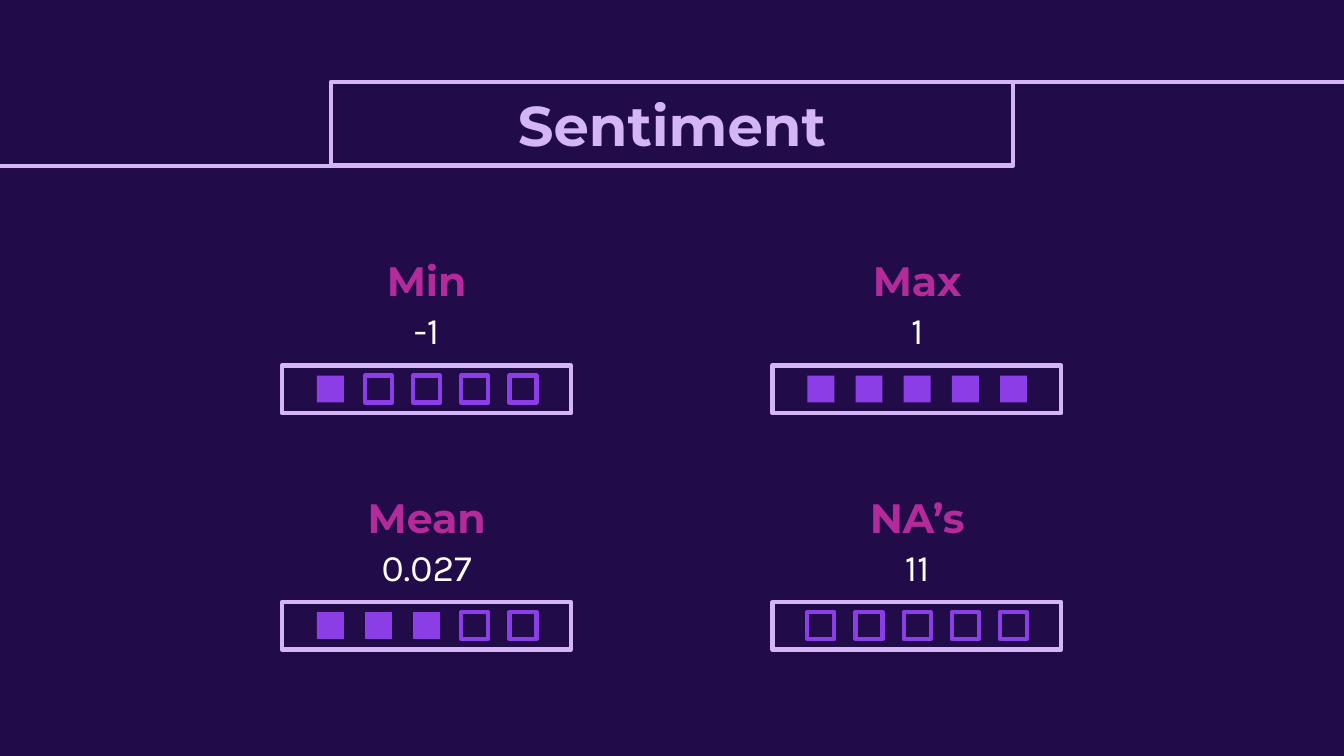
import pptx
import pptx.util
import pptx.dml.color
import pptx.enum.shapes
import pptx.enum.text
import pptx.oxml.ns
import lxml.etree

Cm = pptx.util.Cm
Pt = pptx.util.Pt
Shapes = pptx.enum.shapes.MSO_SHAPE
Anchor = pptx.enum.text.MSO_ANCHOR

TITLE = "Sentiment"
STATISTICS = [
    [("Min", "-1", 1), ("Max", "1", 5)],
    [("Mean", "0.027", 3), ("NA’s", "11", 0)],
]
COLORS = {
    "background": "220B49",
    "lilac": "D4B6F6",
    "magenta": "B32A9A",
    "violet": "8C3EE6",
    "white": "FFFFFF",
}

SLIDE_WIDTH, SLIDE_HEIGHT = 25.4, 14.29
TITLE_LEFT, TITLE_TOP, TITLE_WIDTH, TITLE_HEIGHT = 6.25, 1.55, 12.9, 1.58
LEFT, TOP, COLUMN_PITCH, ROW_PITCH = 5.03, 4.7, 9.27, 4.47
TEXT_WIDTH = 6.07
SQUARE_COUNT, SQUARE_SIZE, SQUARE_PITCH = 5, 0.51, 0.91


def color(name):
    return pptx.dml.color.RGBColor.from_string(COLORS[name])


def draw_outline(shape, name):
    shape.line.color.rgb = color(name)
    shape.line.width = Pt(2.25)


def add_box(slide, left, top, width, height, outline=None, fill=None):
    box = slide.shapes.add_shape(
        Shapes.RECTANGLE, Cm(left), Cm(top), Cm(width), Cm(height))
    box.shadow.inherit = False
    if fill:
        box.fill.solid()
        box.fill.fore_color.rgb = color(fill)
    else:
        box.fill.background()
    if outline:
        draw_outline(box, outline)
    else:
        box.line.fill.background()
    return box


def add_rule(slide, start, end, top):
    rule = slide.shapes.add_connector(
        pptx.enum.shapes.MSO_CONNECTOR.STRAIGHT, Cm(start), Cm(top), Cm(end), Cm(top))
    draw_outline(rule, "lilac")
    lxml.etree.SubElement(
        rule._element.spPr, pptx.oxml.ns.qn("a:effectLst"))


def write(box, text, font, size, name, bold=False, anchor=Anchor.MIDDLE):
    frame = box.text_frame
    frame.word_wrap = True
    frame.vertical_anchor = anchor
    frame.margin_left = frame.margin_right = Cm(0.25)
    frame.margin_top = frame.margin_bottom = Cm(0.25)
    para = frame.paragraphs[0]
    para.text = text
    para.alignment = pptx.enum.text.PP_ALIGN.CENTER
    para.font.name = font
    para.font.size = Pt(size)
    para.font.bold = bold
    para.font.color.rgb = color(name)


def add_statistic(slide, left, top, label, value, filled):
    heading = slide.shapes.add_textbox(Cm(left), Cm(top), Cm(TEXT_WIDTH), Cm(1.19))
    write(heading, label, "Montserrat", 22, "magenta", bold=True)
    number = slide.shapes.add_textbox(
        Cm(left), Cm(top + 0.86), Cm(TEXT_WIDTH), Cm(1.5))
    write(number, value, "Karla", 20, "white", anchor=Anchor.TOP)
    add_box(slide, left + 0.3, top + 2.21, 5.46, 0.9, outline="lilac")
    for index in range(SQUARE_COUNT):
        style = "fill" if index < filled else "outline"
        add_box(slide, left + 0.96 + index * SQUARE_PITCH, top + 2.4,
                SQUARE_SIZE, SQUARE_SIZE, **{style: "violet"})


def main():
    deck = pptx.Presentation()
    deck.slide_width, deck.slide_height = Cm(SLIDE_WIDTH), Cm(SLIDE_HEIGHT)
    page = deck.slides.add_slide(deck.slide_layouts[6])
    page.background.fill.solid()
    page.background.fill.fore_color.rgb = color("background")

    add_rule(page, TITLE_LEFT + TITLE_WIDTH, SLIDE_WIDTH, TITLE_TOP)
    add_rule(page, 0, TITLE_LEFT, TITLE_TOP + TITLE_HEIGHT)
    title = add_box(page, TITLE_LEFT, TITLE_TOP, TITLE_WIDTH, TITLE_HEIGHT,
                    outline="lilac")
    write(title, TITLE, "Montserrat", 30, "lilac", bold=True)

    for row, statistics in enumerate(STATISTICS):
        for column, (label, value, filled) in enumerate(statistics):
            add_statistic(page, LEFT + column * COLUMN_PITCH,
                          TOP + row * ROW_PITCH, label, value, filled)
    deck.save("out.pptx")


if __name__ == "__main__":
    main()
